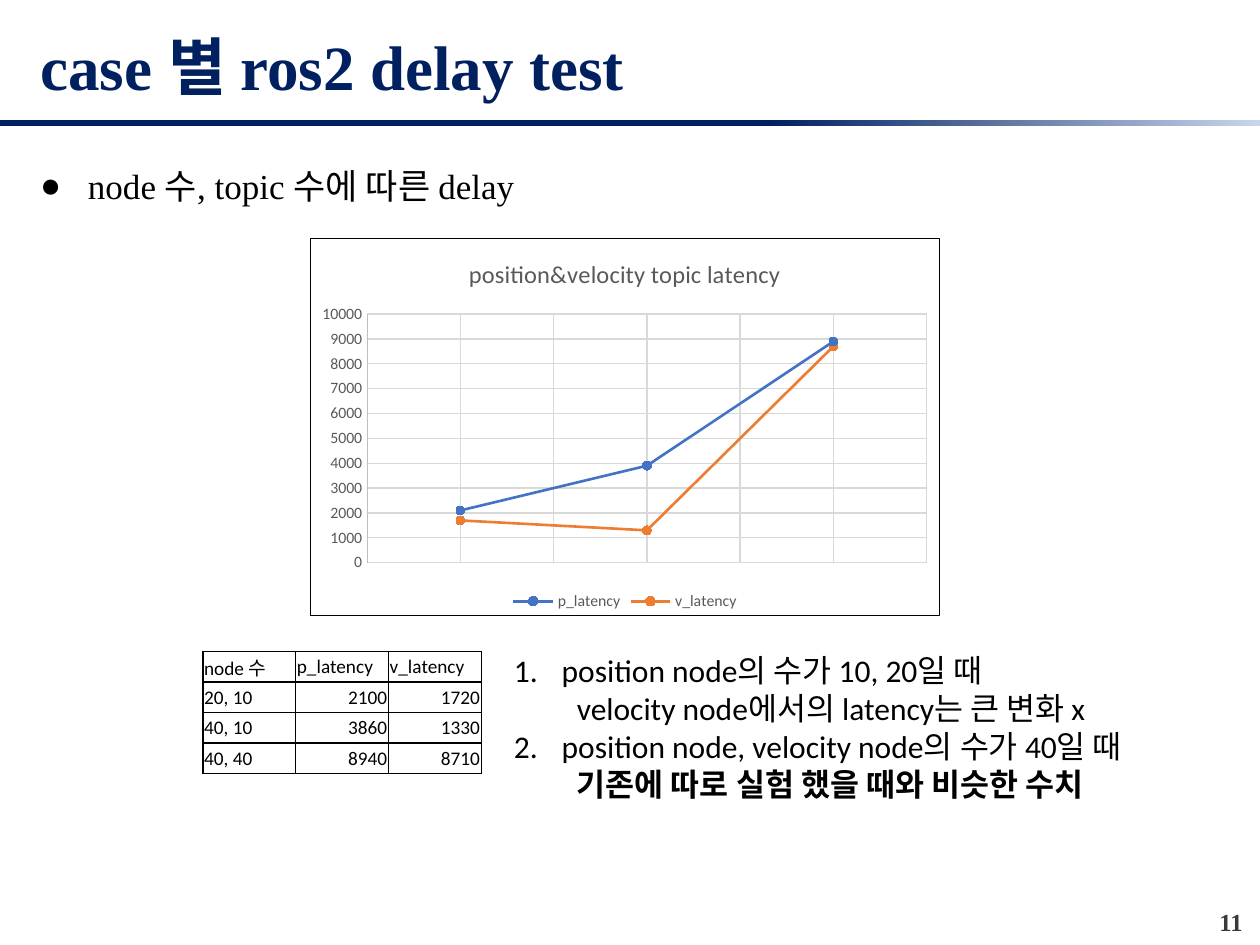
from pptx import Presentation
from pptx import util as u
from pptx.chart import data as chart_data
from pptx.dml.color import RGBColor
from pptx.enum import chart as chart_enum, shapes, text
from pptx.oxml import parse_xml
from pptx.oxml.ns import nsdecls, qn

Inches, Pt = u.Inches, u.Pt
THEME = {
    "serif": "Times New Roman", "sans": "Calibri",
    "navy": "002060", "pale": "C7D5ED", "black": "000000", "white": "FFFFFF",
    "grey": "595959", "number": "3B3838", "axis": "BFBFBF", "grid": "D9D9D9",
    "series": ("4472C4", "ED7D31"),
    "title": 36, "bullet": 20, "notes": 18, "page": 14,
    "chart_title": 14, "cell": 11, "label": 9,
}


def style(font, face, size, color, bold=False):
    formats = {"name": THEME[face], "size": Pt(THEME[size]), "bold": bold}
    for key, value in formats.items():
        setattr(font, key, value)
    font.color.rgb = RGBColor.from_string(THEME[color])


def write(paragraph, words, face, size, color, bold=False, indent=None, bullets=()):
    if indent:
        properties = paragraph._p.get_or_add_pPr()
        properties.set("marL", str(Inches(indent[0])))
        properties.set("indent", str(Inches(indent[1])))
        for bullet in bullets:
            properties.append(parse_xml(bullet))
    run = paragraph.add_run()
    run.text = words
    style(run.font, face, size, color, bold)


deck = Presentation()
deck.slide_width, deck.slide_height = Inches(10), Inches(7.5)
slide = deck.slides.add_slide(deck.slide_layouts[5])

title = slide.shapes.title
title_place = {"left": 0.22, "top": 0.12, "width": 9.5, "height": 0.8}
for key, value in title_place.items():
    setattr(title, key, Inches(value))
title.text_frame.vertical_anchor = text.MSO_ANCHOR.MIDDLE
title.text_frame.auto_size = text.MSO_AUTO_SIZE.NONE
heading = title.text_frame.paragraphs[0]
heading.alignment = text.PP_ALIGN.LEFT
write(heading, "case 별 ros2 delay test", "serif", "title", "navy", True)

rule = slide.shapes.add_shape(
    shapes.MSO_SHAPE.RECTANGLE, 0, Inches(0.95), Inches(10), Inches(0.05))
rule.shadow.inherit = False
rule.line.fill.background()
rule.fill.gradient()
rule.fill.gradient_angle = 0
for stop, position, color in zip(rule.fill.gradient_stops, (0.61, 1), ("navy", "pale")):
    stop.position = position
    stop.color.rgb = RGBColor.from_string(THEME[color])

topic = slide.shapes.add_textbox(Inches(0.22), Inches(1.09), Inches(9.5), Inches(0.54))
topic.text_frame.word_wrap = True
topic_line = topic.text_frame.paragraphs[0]
topic_line.line_spacing = 1.5
write(topic_line, "node 수, topic 수에 따른 delay", "serif", "bullet", "black",
      indent=(0.38, -0.38),
      bullets=(f'<a:buFont {nsdecls("a")} typeface="{THEME["serif"]}"/>',
               f'<a:buChar {nsdecls("a")} char="●"/>'))

results = [("20, 10", 2100, 1720), ("40, 10", 3860, 1330), ("40, 40", 8940, 8710)]
header = ("node 수", "p_latency", "v_latency")

latency = chart_data.XyChartData()
for column in (1, 2):
    points = latency.add_series(header[column])
    for case, result in enumerate(results, 1):
        points.add_data_point(case, round(result[column], -2))
chart = slide.shapes.add_chart(
    chart_enum.XL_CHART_TYPE.XY_SCATTER_LINES,
    Inches(2.46), Inches(1.89), Inches(5), Inches(3), latency).chart
style(chart.font, "sans", "label", "grey")
chart.has_title = True
write(chart.chart_title.text_frame.paragraphs[0], "position&velocity topic latency",
      "sans", "chart_title", "grey")
chart.chart_title.include_in_layout = False
chart.has_legend = True
chart.legend.position = chart_enum.XL_LEGEND_POSITION.BOTTOM
chart.legend.include_in_layout = False
style(chart.legend.font, "sans", "label", "grey")

axes = [(chart.category_axis, 0.5, 3.5, 0.5), (chart.value_axis, 0, 10000, 1000)]
for axis, low, high, step in axes:
    settings = {"minimum_scale": low, "maximum_scale": high, "major_unit": step,
                "has_major_gridlines": True,
                "major_tick_mark": chart_enum.XL_TICK_MARK.NONE}
    for key, value in settings.items():
        setattr(axis, key, value)
    for line, color in ((axis.major_gridlines.format.line, "grid"),
                        (axis.format.line, "axis")):
        line.color.rgb = RGBColor.from_string(THEME[color])
        line.width = Pt(0.75)
chart.category_axis.visible = False
style(chart.value_axis.tick_labels.font, "sans", "label", "grey")

plot = chart.plots[0]
plot.vary_by_categories = False
for series, color in zip(plot.series, THEME["series"]):
    rgb = RGBColor.from_string(color)
    series.smooth = False
    series.format.line.color.rgb = rgb
    series.format.line.width = Pt(1.5)
    series.marker.style = chart_enum.XL_MARKER_STYLE.CIRCLE
    series.marker.size = 5
    series.marker.format.fill.solid()
    series.marker.format.fill.fore_color.rgb = rgb
    series.marker.format.line.color.rgb = rgb

plot_area = chart._chartSpace.find(".//" + qn("c:plotArea"))
for old_layout in plot_area.findall(qn("c:layout")):
    plot_area.remove(old_layout)
bounds = "".join(f'<c:{key} val="{value}"/>' for key, value in
                 {"x": 0.09, "y": 0.2, "w": 0.89, "h": 0.66}.items())
plot_area.insert(0, parse_xml(
    f'<c:layout {nsdecls("c")}><c:manualLayout><c:layoutTarget val="inner"/>'
    f'<c:xMode val="edge"/><c:yMode val="edge"/>{bounds}</c:manualLayout></c:layout>'))
chart._chartSpace.find(qn("c:txPr")).addprevious(parse_xml(
    f'<c:spPr {nsdecls("c", "a")}><a:solidFill><a:srgbClr val="{THEME["white"]}"/></a:solidFill>'
    f'<a:ln w="{Pt(0.75)}"><a:solidFill><a:srgbClr val="{THEME["black"]}"/></a:solidFill></a:ln></c:spPr>'))

table = slide.shapes.add_table(
    4, 3, Inches(1.61), Inches(5.17), Inches(2.21), Inches(0.97)).table
for r, values in enumerate([header, *results]):
    for c, value in enumerate(values):
        cell = table.cell(r, c)
        formats = {"margin_left": Inches(0.01), "margin_right": Inches(0.01),
                   "margin_top": Inches(0.01), "margin_bottom": 0,
                   "vertical_anchor": text.MSO_ANCHOR.MIDDLE}
        for key, setting in formats.items():
            setattr(cell, key, setting)
        entry = cell.text_frame.paragraphs[0]
        entry.alignment = text.PP_ALIGN.RIGHT if r and c else text.PP_ALIGN.LEFT
        write(entry, str(value), "sans", "cell", "black")
        for side in ("lnL", "lnR", "lnT", "lnB"):
            cell._tc.get_or_add_tcPr().append(parse_xml(
                f'<a:{side} {nsdecls("a")} w="{Pt(1)}"><a:solidFill>'
                f'<a:srgbClr val="{THEME["black"]}"/></a:solidFill></a:{side}>'))
        cell.fill.solid()
        cell.fill.fore_color.rgb = RGBColor.from_string(THEME["white"])

findings = slide.shapes.add_textbox(Inches(3.98), Inches(5.12), Inches(5.38), Inches(1.31))
findings.text_frame.word_wrap = True
remarks = [
    ("position node의 수가 10, 20일 때", 1, False),
    ("velocity node에서의 latency는 큰 변화 x", None, False),
    ("position node, velocity node의 수가 40일 때", 2, False),
    ("기존에 따로 실험 했을 때와 비슷한 수치", None, True),
]
for i, (words, number, bold) in enumerate(remarks):
    remark = findings.text_frame.add_paragraph() if i else findings.text_frame.paragraphs[0]
    numbering = [f'<a:buAutoNum {nsdecls("a")} type="arabicPeriod" startAt="{number}"/>']
    write(remark, words, "sans", "notes", "black", bold,
          indent=(0.38, -0.38) if number else (0.5, 0),
          bullets=numbering if number else ())

page = slide.shapes.add_textbox(Inches(9.54), Inches(7.15), Inches(0.42), Inches(0.3))
page.text_frame.word_wrap = True
page_line = page.text_frame.paragraphs[0]
page_line.alignment = text.PP_ALIGN.RIGHT
write(page_line, "11", "serif", "page", "number", True)

deck.save("out.pptx")
